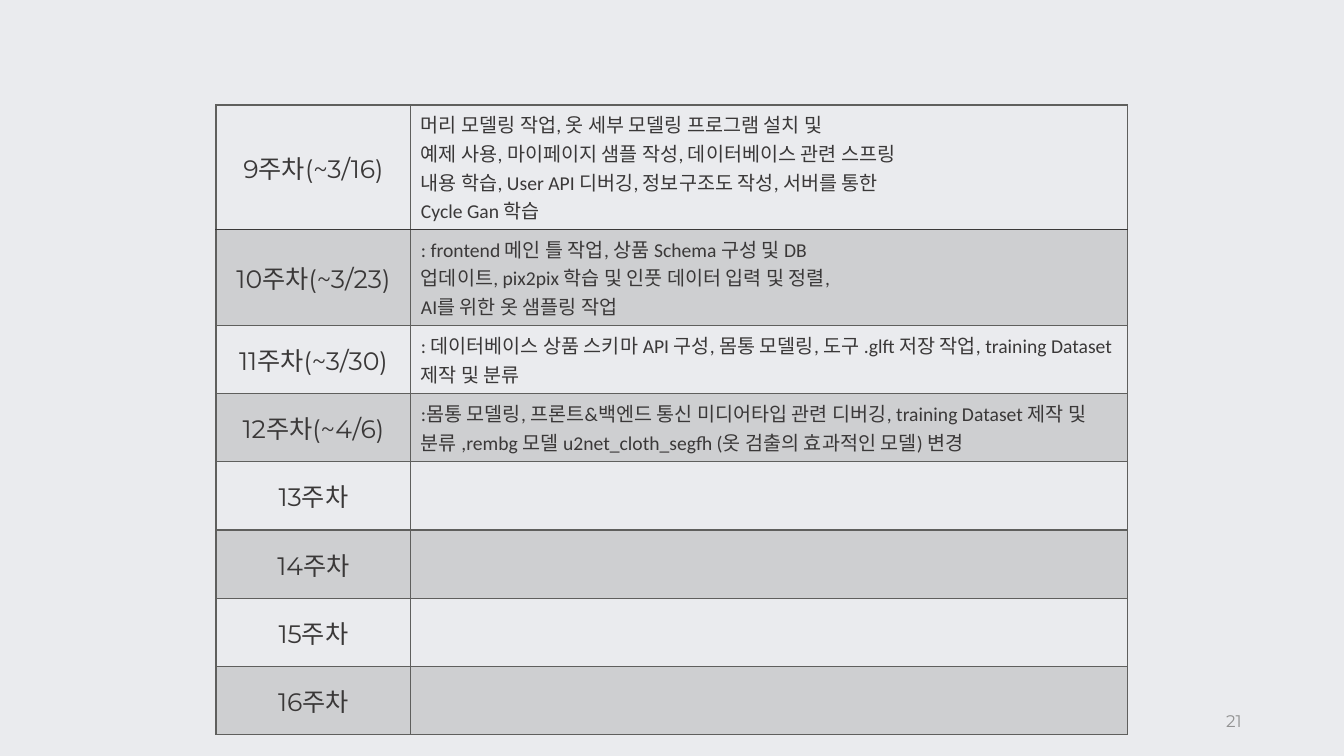
import pptx
import pptx.dml.color
import pptx.enum.text
import pptx.oxml.ns
import pptx.util
from lxml import etree

Pt = pptx.util.Pt
RGBColor = pptx.dml.color.RGBColor
PP_ALIGN = pptx.enum.text.PP_ALIGN
MIDDLE = pptx.enum.text.MSO_ANCHOR.MIDDLE
qn = pptx.oxml.ns.qn

BACKGROUND = RGBColor(0xEA, 0xEB, 0xEE)
INK = RGBColor(0x3A, 0x38, 0x38)
RULE = RGBColor(0x5F, 0x5F, 0x5D)
PAGE_GRAY = RGBColor(0x91, 0x91, 0x91)

HEADING_FONT, BODY_FONT = "Montserrat", "Calibri"
BAND_ALPHA = 20

WEEKS = [
    ("9주차(~3/16)", "머리 모델링 작업, 옷 세부 모델링 프로그램 설치 및\n"
                     "예제 사용, 마이페이지 샘플 작성, 데이터베이스 관련 스프링\n"
                     "내용 학습, User API 디버깅, 정보구조도 작성, 서버를 통한\n"
                     "Cycle Gan 학습"),
    ("10주차(~3/23)", ": frontend 메인 틀 작업, 상품 Schema 구성 및 DB\n"
                      "업데이트, pix2pix 학습 및 인풋 데이터 입력 및 정렬,\n"
                      "AI를 위한 옷 샘플링 작업"),
    ("11주차(~3/30)", ": 데이터베이스 상품 스키마 API 구성, 몸통 모델링, 도구 .glft 저장 작업, "
                      "training Dataset 제작 및 분류"),
    ("12주차(~4/6)", ":몸통 모델링, 프론트&백엔드 통신 미디어타입 관련 디버깅, "
                     "training Dataset 제작 및 분류 ,rembg 모델 "
                     "u2net_cloth_segfh (옷 검출의 효과적인 모델) 변경"),
    ("13주차", ""),
    ("14주차", ""),
    ("15주차", ""),
    ("16주차", ""),
]


class ScheduleSlide:
    def __init__(self, presentation):
        self.slide = presentation.slides.add_slide(presentation.slide_layouts[6])
        self.slide.background.fill.solid()
        self.slide.background.fill.fore_color.rgb = BACKGROUND

    def set_text(self, frame, text, font, size, color, align):
        frame.text = text
        for paragraph in frame.paragraphs:
            paragraph.alignment = align
            for run in paragraph.runs:
                run.font.name = font
                run.font.size = Pt(size)
                run.font.color.rgb = color

    def borders(self, cell, top, bottom):
        properties = cell._tc.get_or_add_tcPr()
        for side, color in (("L", RULE), ("R", RULE), ("T", top), ("B", bottom)):
            line = etree.SubElement(properties, qn(f"a:ln{side}"), w=str(Pt(1)))
            fill = etree.SubElement(line, qn("a:solidFill"))
            etree.SubElement(fill, qn("a:srgbClr"), val=str(color))

    def shade(self, cell, banded):
        if not banded:
            cell.fill.background()
            return
        cell.fill.solid()
        cell.fill.fore_color.rgb = RULE
        color = cell._tc.tcPr.find(qn("a:solidFill")).find(qn("a:srgbClr"))
        etree.SubElement(color, qn("a:alpha"), val=str(BAND_ALPHA * 1000))

    def table(self, left, top, widths, row_height, rows):
        grid = self.slide.shapes.add_table(
            len(rows), len(widths), Pt(left), Pt(top),
            Pt(sum(widths)), Pt(row_height * len(rows))).table
        grid.first_row = grid.horz_banding = False
        for column, width in zip(grid.columns, widths):
            column.width = Pt(width)
        styles = [(HEADING_FONT, 18, INK, PP_ALIGN.CENTER),
                  (BODY_FONT, 14, INK, PP_ALIGN.LEFT)]
        for r, row in enumerate(rows):
            grid.rows[r].height = Pt(row_height)
            for c, text in enumerate(row):
                cell = grid.cell(r, c)
                cell.vertical_anchor = MIDDLE
                if text:
                    self.set_text(cell.text_frame, text, *styles[c])
                # The line below the first week is darker
                self.borders(cell, INK if r == 1 else RULE, INK if r == 0 else RULE)
                self.shade(cell, banded=r % 2 == 1)

    def label(self, left, top, width, height, text, size, color):
        frame = self.slide.shapes.add_textbox(
            Pt(left), Pt(top), Pt(width), Pt(height)).text_frame
        frame.word_wrap = True
        frame.vertical_anchor = MIDDLE
        self.set_text(frame, text, HEADING_FONT, size, color, PP_ALIGN.RIGHT)


def main():
    presentation = pptx.Presentation()
    presentation.slide_width, presentation.slide_height = Pt(960), Pt(540)
    schedule = ScheduleSlide(presentation)

    # Weekly schedule
    schedule.table(154.3, 75, (139.2, 511.8), 48.75, WEEKS)

    # Page number
    schedule.label(678, 500.5, 216, 28.75, "21", 12, PAGE_GRAY)

    presentation.save("out.pptx")


if __name__ == "__main__":
    main()
